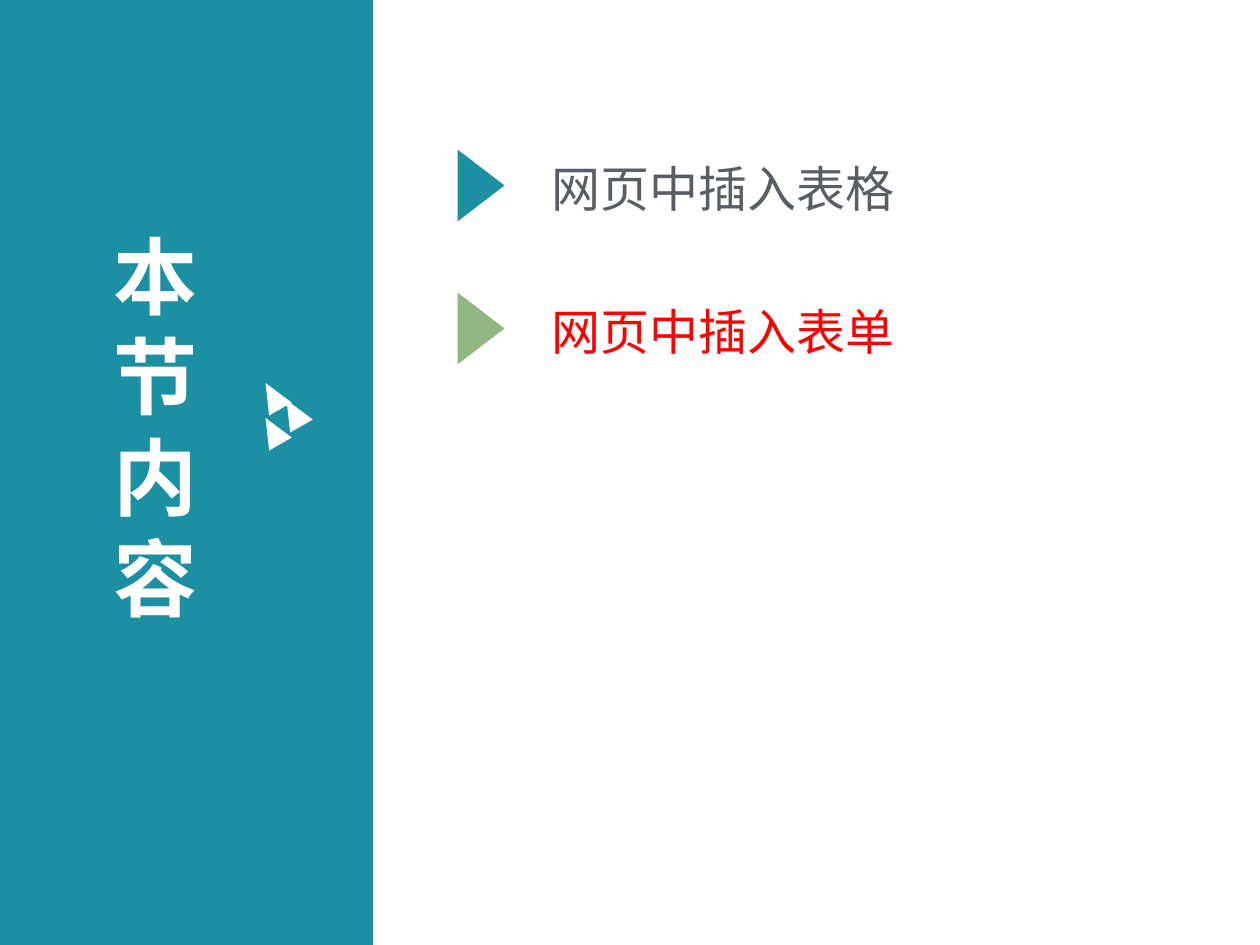
"""Build the section contents slide with a coloured title panel and two topics."""
from dataclasses import dataclass

from lxml import etree
from pptx import Presentation
from pptx.dml.color import RGBColor
from pptx.enum.shapes import MSO_SHAPE
from pptx.enum.text import MSO_ANCHOR, MSO_AUTO_SIZE, PP_ALIGN
from pptx.oxml.ns import qn
from pptx.util import Emu, Pt

RECTANGLE = MSO_SHAPE.RECTANGLE
TRIANGLE = MSO_SHAPE.ISOSCELES_TRIANGLE
TOP = MSO_ANCHOR.TOP
LEFT = PP_ALIGN.LEFT
NO_AUTOFIT = MSO_AUTO_SIZE.NONE


@dataclass(frozen=True)
class Theme:
    """Colours, font and type sizes of the slide."""
    teal: str = "1B90A2"
    green: str = "93B784"
    white: str = "FFFFFF"
    grey: str = "595E64"
    red: str = "FF0000"
    font: str = "Noto Sans CJK SC"
    title_size: int = 48
    topic_size: int = 28
    line_factor: float = 1.2


THEME = Theme()
SCALE = 914400 // 126
SLIDE_SIZE = (1260, 945)
PANEL = (0, 0, 373, 945)
TITLE = "本节内容"
TITLE_BOX = (101, 212, 165, 420)
EMBLEM_CORNERS = [(260, 381), (260, 416), (281, 398)]
EMBLEM_SIZE = (26, 30)
EMBLEM_ROTATION = 330.2
TOPICS = [
    ("网页中插入表格", 378, THEME.grey, THEME.teal),
    ("网页中插入表单", 416, THEME.red, THEME.green),
]
TOPIC_LEFT, TOPIC_TOP, TOPIC_HEIGHT, TOPIC_PITCH = 539, 150, 72, 143
MARKER_LEFT, MARKER_DROP, MARKER_SIZE = 445, 12, (72, 47)


def pixels(*values):
    return [Emu(value * SCALE) for value in values]


def add_block(slide, kind, box, color, rotation=0):
    shape = slide.shapes.add_shape(kind, *pixels(*box))
    shape.shadow.inherit = False
    shape.fill.solid()
    shape.fill.fore_color.rgb = RGBColor.from_string(color)
    shape.line.fill.background()
    shape.rotation = rotation
    return shape


def write_text(shape, text, size, color, top_inset, bold=False):
    frame = shape.text_frame
    frame.word_wrap = True
    frame.auto_size = NO_AUTOFIT
    frame.vertical_anchor = TOP
    frame.margin_left, frame.margin_top, frame.margin_right, frame.margin_bottom = pixels(
        13, top_inset, 13, 0)
    paragraph = frame.paragraphs[0]
    paragraph.alignment = LEFT
    paragraph.line_spacing = Pt(size * THEME.line_factor)
    paragraph.space_before = Pt(0)
    run = paragraph.add_run()
    run.text = text
    run.font.name = THEME.font
    run.font.size = Pt(size)
    run.font.bold = bold
    run.font.color.rgb = RGBColor.from_string(color)
    latin = run.font.element.find(qn("a:latin")) if hasattr(run.font, "element") else None
    properties = latin.getparent() if latin is not None else paragraph.runs[0].font._element
    east_asian = etree.SubElement(properties, qn("a:ea"))
    east_asian.set("typeface", THEME.font)


def main():
    presentation = Presentation()
    presentation.slide_width, presentation.slide_height = pixels(*SLIDE_SIZE)
    slide = presentation.slides.add_slide(presentation.slide_layouts[5])

    title = slide.shapes.title
    title.left, title.top, title.width, title.height = pixels(*TITLE_BOX)
    write_text(title, TITLE, THEME.title_size, THEME.white, 12, bold=True)
    panel = add_block(slide, RECTANGLE, PANEL, THEME.teal)
    title.element.addprevious(panel.element)

    for corner in EMBLEM_CORNERS:
        add_block(slide, TRIANGLE, corner + EMBLEM_SIZE, THEME.white, EMBLEM_ROTATION)

    for index, (text, width, text_color, marker_color) in enumerate(TOPICS):
        top = TOPIC_TOP + index * TOPIC_PITCH
        marker = (MARKER_LEFT, top + MARKER_DROP) + MARKER_SIZE
        add_block(slide, TRIANGLE, marker, marker_color, 90)
        box = slide.shapes.add_textbox(*pixels(TOPIC_LEFT, top, width, TOPIC_HEIGHT))
        write_text(box, text, THEME.topic_size, text_color, 9)

    presentation.save("out.pptx")


main()
